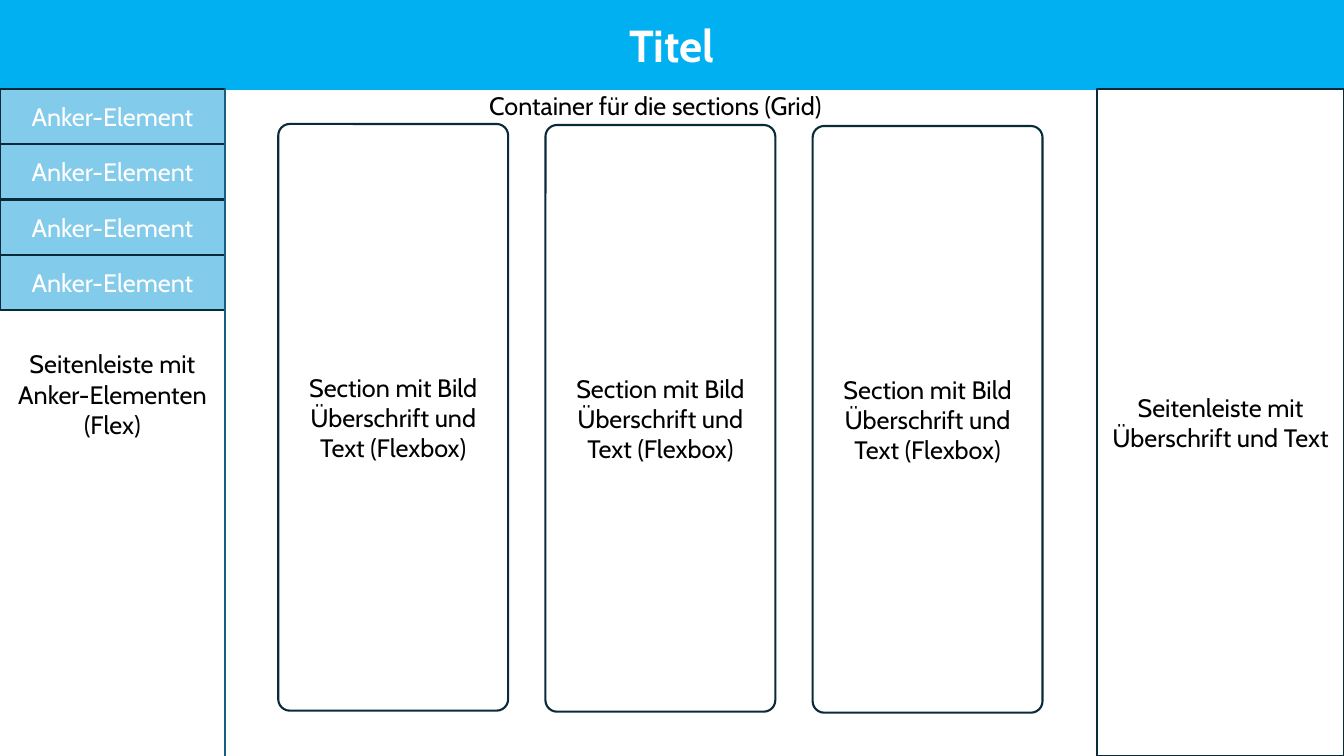
from lxml.etree import SubElement
from pptx import Presentation
from pptx.dml.color import RGBColor
from pptx.enum.shapes import MSO_CONNECTOR as Connector, MSO_SHAPE as Shape
from pptx.enum.text import MSO_ANCHOR as Anchor, MSO_AUTO_SIZE as AutoSize, PP_ALIGN as Align
from pptx.oxml.ns import qn
from pptx.util import Emu, Pt

HEADER_BLUE = RGBColor(0x00, 0xB0, 0xF0)
ANCHOR_BLUE = RGBColor(0x83, 0xCB, 0xEB)
OUTLINE = RGBColor(0x09, 0x2A, 0x39)
DIVIDER = RGBColor(0x15, 0x60, 0x82)
WHITE = RGBColor(0xFF, 0xFF, 0xFF)
BLACK = RGBColor(0x00, 0x00, 0x00)

WIDTH, HEIGHT = 1333, 750
HEADER_HEIGHT = 88
NAVIGATION_WIDTH = 223
ANCHOR_HEIGHT = 55
ANCHOR_COUNT = 4
SIDEBAR_WIDTH = 245
SECTION_COUNT = 3
SECTION_LEFT, SECTION_TOP = 276, 123
SECTION_WIDTH, SECTION_HEIGHT = 228, 582
SECTION_STEP = 265


def px(value):
    return Emu(value * 9144)


class WireframeSlide:
    font_name = "Cabin"
    text_size = Pt(18)
    title_size = Pt(32)
    line_width = Pt(1.5)

    def __init__(self, presentation):
        self.slide = presentation.slides.add_slide(presentation.slide_layouts[5])

    def add_text(self, shape, text, color, size=None, bold=False):
        frame = shape.text_frame
        frame.word_wrap = True
        paragraph = frame.paragraphs[0]
        paragraph.alignment = Align.CENTER
        run = paragraph.add_run()
        run.text = text
        run.font.name = self.font_name
        run.font.size = size or self.text_size
        run.font.bold = bold
        run.font.color.rgb = color

    def paint(self, shape, fill, line):
        shape.fill.solid()
        shape.fill.fore_color.rgb = fill
        shape.line.color.rgb = line
        shape.line.width = self.line_width

    def title(self, text, width, height):
        title = self.slide.shapes.title
        title.left, title.top = px(0), px(0)
        title.width, title.height = px(width), px(height)
        self.paint(title, HEADER_BLUE, HEADER_BLUE)
        title.text_frame.auto_size = AutoSize.NONE
        title.text_frame.vertical_anchor = Anchor.MIDDLE
        self.add_text(title, text, WHITE, self.title_size, bold=True)

    def box(self, text, left, top, width, height, fill=WHITE, color=BLACK, kind=Shape.RECTANGLE):
        shape = self.slide.shapes.add_shape(kind, px(left), px(top), px(width), px(height))
        shape.shadow.inherit = False
        self.paint(shape, fill, OUTLINE)
        shape.text_frame.vertical_anchor = Anchor.MIDDLE
        self.add_text(shape, text, color)
        return shape

    def section(self, text, left, top, width, height):
        shape = self.box(text, left, top, width, height, kind=Shape.ROUNDED_RECTANGLE)
        shape.adjustments[0] = 0.05

    def label(self, text, left, top, width, height):
        shape = self.slide.shapes.add_textbox(px(left), px(top), px(width), px(height))
        self.add_text(shape, text, BLACK)
        shape.text_frame.auto_size = AutoSize.SHAPE_TO_FIT_TEXT

    def divider(self, x, top, bottom):
        line = self.slide.shapes.add_connector(
            Connector.STRAIGHT, px(x), px(bottom), px(x), px(top))
        line.line.color.rgb = DIVIDER
        line.line.width = self.line_width
        SubElement(line._element.spPr, qn("a:effectLst"))


def main():
    presentation = Presentation()
    presentation.slide_width = px(WIDTH)
    presentation.slide_height = px(HEIGHT)
    page = WireframeSlide(presentation)

    page.title("Titel", WIDTH, HEADER_HEIGHT)
    for index in range(ANCHOR_COUNT):
        page.box("Anker-Element", 0, HEADER_HEIGHT + index * ANCHOR_HEIGHT,
                 NAVIGATION_WIDTH, ANCHOR_HEIGHT, ANCHOR_BLUE, WHITE)
    page.divider(NAVIGATION_WIDTH, HEADER_HEIGHT, HEIGHT)
    page.box("Seitenleiste mit Überschrift und Text", WIDTH - SIDEBAR_WIDTH, HEADER_HEIGHT,
             SIDEBAR_WIDTH, HEIGHT - HEADER_HEIGHT)
    for index in range(SECTION_COUNT):
        page.section("Section mit Bild Überschrift und Text (Flexbox)",
                     SECTION_LEFT + index * SECTION_STEP, SECTION_TOP + index,
                     SECTION_WIDTH, SECTION_HEIGHT)
    page.label("Container für die sections (Grid)", 308, 85, 684, 40)
    page.label("Seitenleiste mit Anker-Elementen (Flex)", 0, 341, NAVIGATION_WIDTH, 101)

    presentation.save("out.pptx")


if __name__ == "__main__":
    main()
